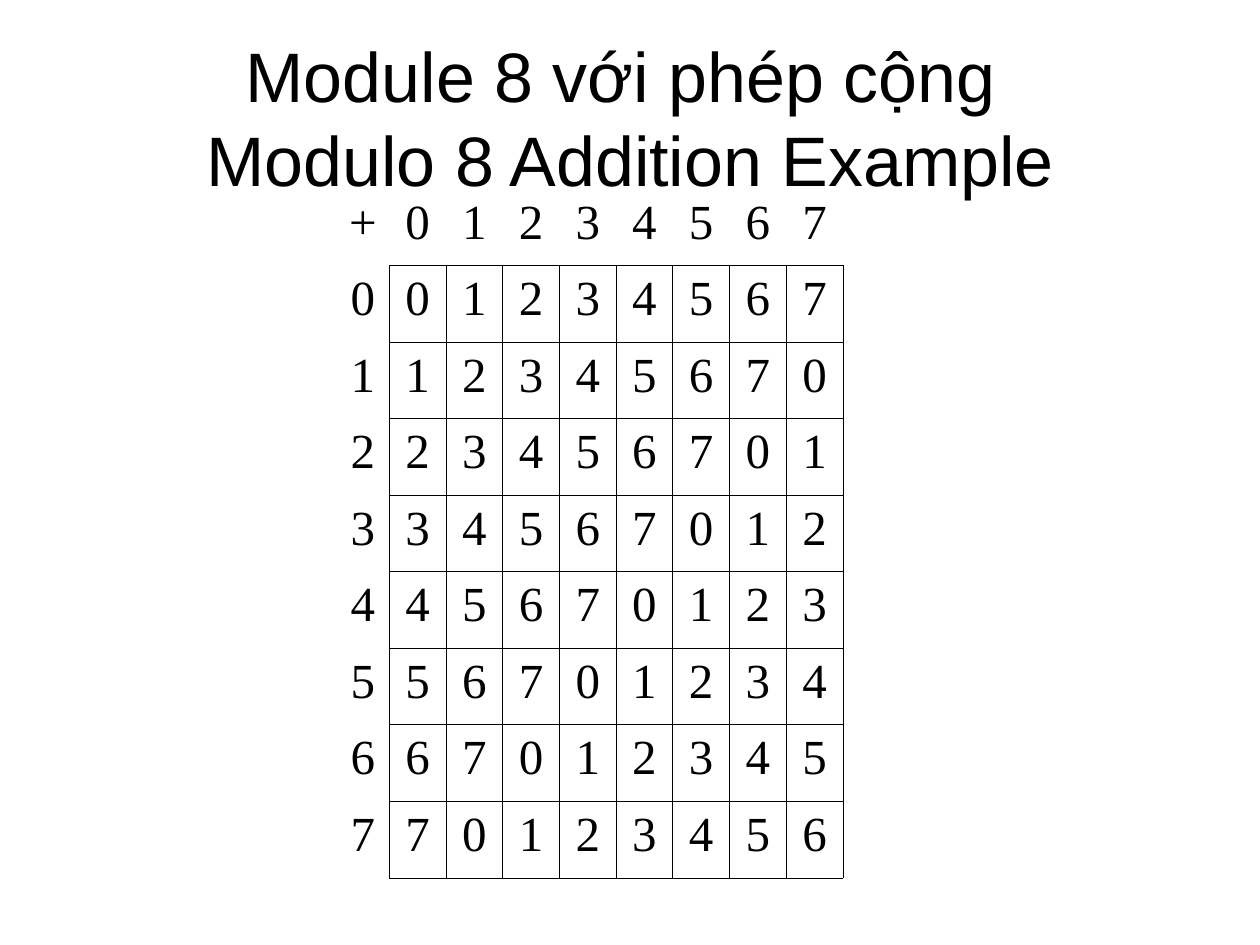
from pptx import Presentation
from pptx.dml.color import RGBColor
from pptx.enum.text import MSO_ANCHOR, PP_ALIGN
from pptx.oxml.ns import qn
from pptx.util import Pt
from lxml.etree import SubElement

PX = 9144  # 100 px to the inch
BLACK = "000000"
MODULUS = 8
LINE_WIDTH = Pt(0.45)


def write(tf, text, font, size, color=BLACK, space=0):
    p = tf.paragraphs[0]
    p.text = text
    p.alignment = PP_ALIGN.CENTER
    p.space_before = p.space_after = Pt(space)
    for r in p.runs:
        r.font.name = font
        r.font.size = Pt(size)
        r.font.color.rgb = RGBColor.from_string(color)


def set_borders(cell, sides, color=BLACK):
    """Draw the borders named in sides (of "LRTB") and clear the others."""
    tcPr = cell._tc.get_or_add_tcPr()
    for side in "LRTB":
        ln = SubElement(tcPr, qn(f"a:ln{side}"), w=str(LINE_WIDTH))
        if side in sides:
            fill = SubElement(ln, qn("a:solidFill"))
            SubElement(fill, qn("a:srgbClr"), val=color)
        else:
            SubElement(ln, qn("a:noFill"))


prs = Presentation()
prs.slide_width, prs.slide_height = 1000 * PX, 750 * PX
s = prs.slides.add_slide(prs.slide_layouts[6])

title = s.shapes.add_textbox(50 * PX, 30 * PX, 900 * PX, 125 * PX)
tf = title.text_frame
tf.word_wrap = True
tf.vertical_anchor = MSO_ANCHOR.MIDDLE
write(tf, "Module 8 với phép cộng \vModulo 8 Addition Example", font="Arial", size=40)

n = MODULUS + 1
frame = s.shapes.add_table(n, n, 267 * PX, 150 * PX, 402 * PX, 547 * PX)
table = frame.table
table.first_row = table.horz_banding = False
for i, col in enumerate(table.columns):
    col.width = (45 if i else 42) * PX

for i in range(n):
    for j in range(n):
        cell = table.cell(i, j)
        if i and j:
            text, sides = str((i + j - 2) % MODULUS), "LRTB"
        elif i:
            text, sides = str(i - 1), "R"
        elif j:
            text, sides = str(j - 1), "B"
        else:
            text, sides = "+", ""
        write(cell.text_frame, text, font="Times New Roman", size=28, space=3)
        set_borders(cell, sides)
        cell.fill.background()

prs.save("out.pptx")
